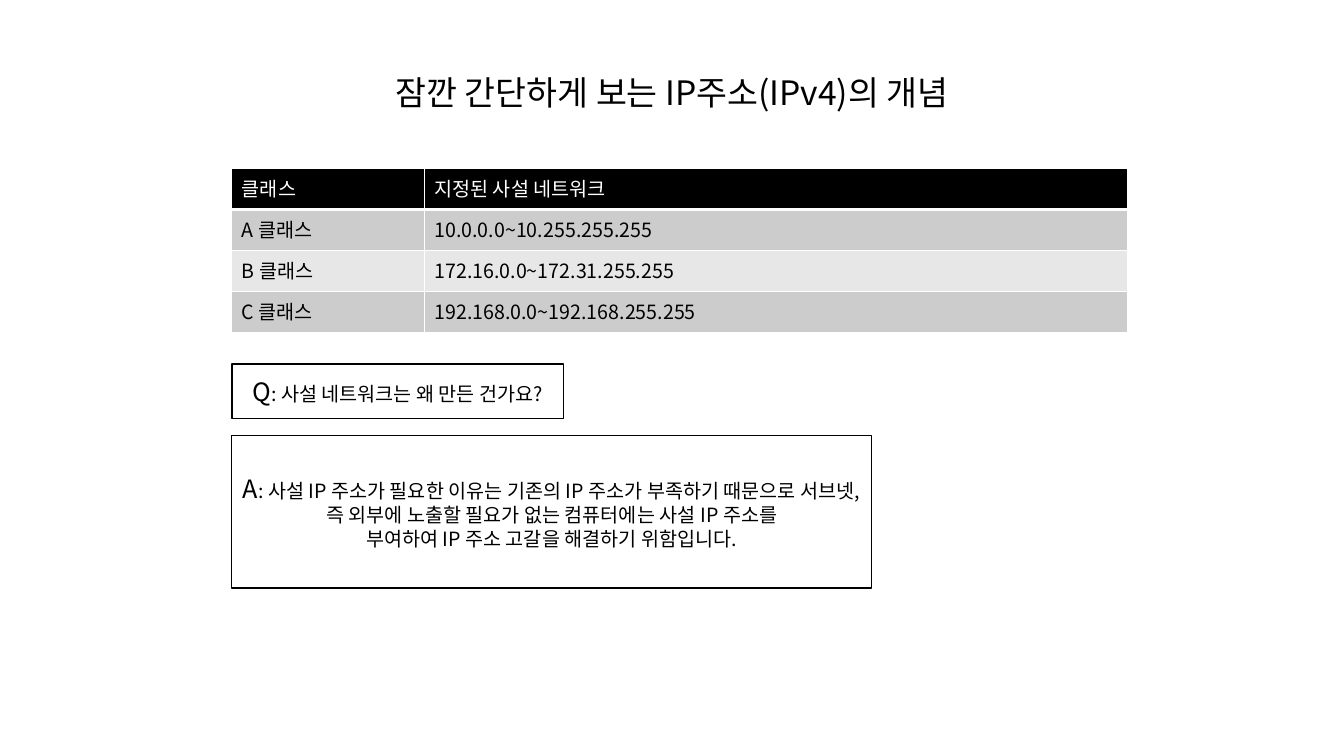
"""Builds a slide on private IPv4 address ranges."""
from lxml.etree import SubElement
from pptx import Presentation
from pptx.dml.color import RGBColor
from pptx.enum.shapes import MSO_SHAPE as Shape
from pptx.enum.text import MSO_ANCHOR as Anchor, MSO_AUTO_SIZE as AutoSize, PP_ALIGN as Align
from pptx.oxml.ns import qn
from pptx.util import Pt

BLACK = RGBColor(0x00, 0x00, 0x00)
WHITE = RGBColor(0xFF, 0xFF, 0xFF)
DARK_BAND = RGBColor(0xCC, 0xCC, 0xCC)
LIGHT_BAND = RGBColor(0xE7, 0xE7, 0xE7)
FONT = "Noto Sans CJK KR"

CLASSES = [
    ("클래스", "지정된 사설 네트워크"),
    ("A 클래스", "10.0.0.0~10.255.255.255"),
    ("B 클래스", "172.16.0.0~172.31.255.255"),
    ("C 클래스", "192.168.0.0~192.168.255.255"),
]
QUESTION = [": 사설 네트워크는 왜 만든 건가요?"]
ANSWER = [
    ": 사설 IP 주소가 필요한 이유는 기존의 IP 주소가 부족하기 때문으로 "
    "서브넷, 즉 외부에 노출할 필요가 없는 컴퓨터에는 사설 IP 주소를",
    "부여하여 IP 주소 고갈을 해결하기 위함입니다.",
]


def write(para, text, size=14, color=BLACK, align=None):
    para.alignment = align
    span = para.add_run()
    span.text = text
    span.font.name = FONT
    span.font.size = Pt(size)
    span.font.bold = False
    span.font.color.rgb = color
    SubElement(span.font._element, qn("a:ea"), typeface=FONT)


class Page:
    def __init__(self, deck):
        self.slide = deck.slides.add_slide(deck.slide_layouts[5])
        self.shapes = self.slide.shapes

    def title(self, text, left, top, width, height):
        box = self.shapes.title
        box.left, box.top, box.width, box.height = Pt(left), Pt(top), Pt(width), Pt(height)
        box.text_frame.auto_size = AutoSize.SHAPE_TO_FIT_TEXT
        write(box.text_frame.paragraphs[0], text, size=24, align=Align.CENTER)

    def table(self, rows, left, top, widths, row_height):
        frame = self.shapes.add_table(len(rows), len(widths), Pt(left), Pt(top),
                                      Pt(sum(widths)), Pt(row_height * len(rows)))
        table = frame.table
        for column, width in zip(table.columns, widths):
            column.width = Pt(width)
        for index, texts in enumerate(rows):
            header = index == 0
            band = BLACK if header else DARK_BAND if index % 2 else LIGHT_BAND
            for column, text in enumerate(texts):
                cell = table.cell(index, column)
                self.borders(cell, top=3 if index == 1 else 1, bottom=3 if header else 1)
                cell.fill.solid()
                cell.fill.fore_color.rgb = band
                write(cell.text_frame.paragraphs[0], text, color=WHITE if header else BLACK)

    def borders(self, cell, top, bottom):
        properties = cell._tc.get_or_add_tcPr()
        for side, weight in (("L", 1), ("R", 1), ("T", top), ("B", bottom)):
            line = SubElement(properties, qn(f"a:ln{side}"), w=str(Pt(weight)))
            fill = SubElement(line, qn("a:solidFill"))
            SubElement(fill, qn("a:srgbClr"), val=str(WHITE))

    def panel(self, letter, lines, left, top, width, height):
        box = self.shapes.add_shape(Shape.RECTANGLE, Pt(left), Pt(top), Pt(width), Pt(height))
        box.shadow.inherit = False
        box.fill.background()
        box.line.color.rgb = BLACK
        box.line.width = Pt(1)
        frame = box.text_frame
        frame.word_wrap = True
        frame.vertical_anchor = Anchor.MIDDLE
        write(frame.paragraphs[0], letter, size=18, align=Align.CENTER)
        for index, line in enumerate(lines):
            para = frame.add_paragraph() if index else frame.paragraphs[0]
            write(para, line, align=Align.CENTER)


def main():
    deck = Presentation()
    deck.slide_width, deck.slide_height = Pt(960), Pt(540)
    page = Page(deck)
    left = 165.6
    page.table(CLASSES, left, 120.5, widths=(137.5, 502.5), row_height=29.2)
    page.panel("Q", QUESTION, left, 260, 237, 39)
    page.panel("A", ANSWER, left, 311, 457, 109)
    page.title("잠깐 간단하게 보는 IP주소(IPv4)의 개념", 258, 48, 444, 36)
    deck.save("out.pptx")


if __name__ == "__main__":
    main()
